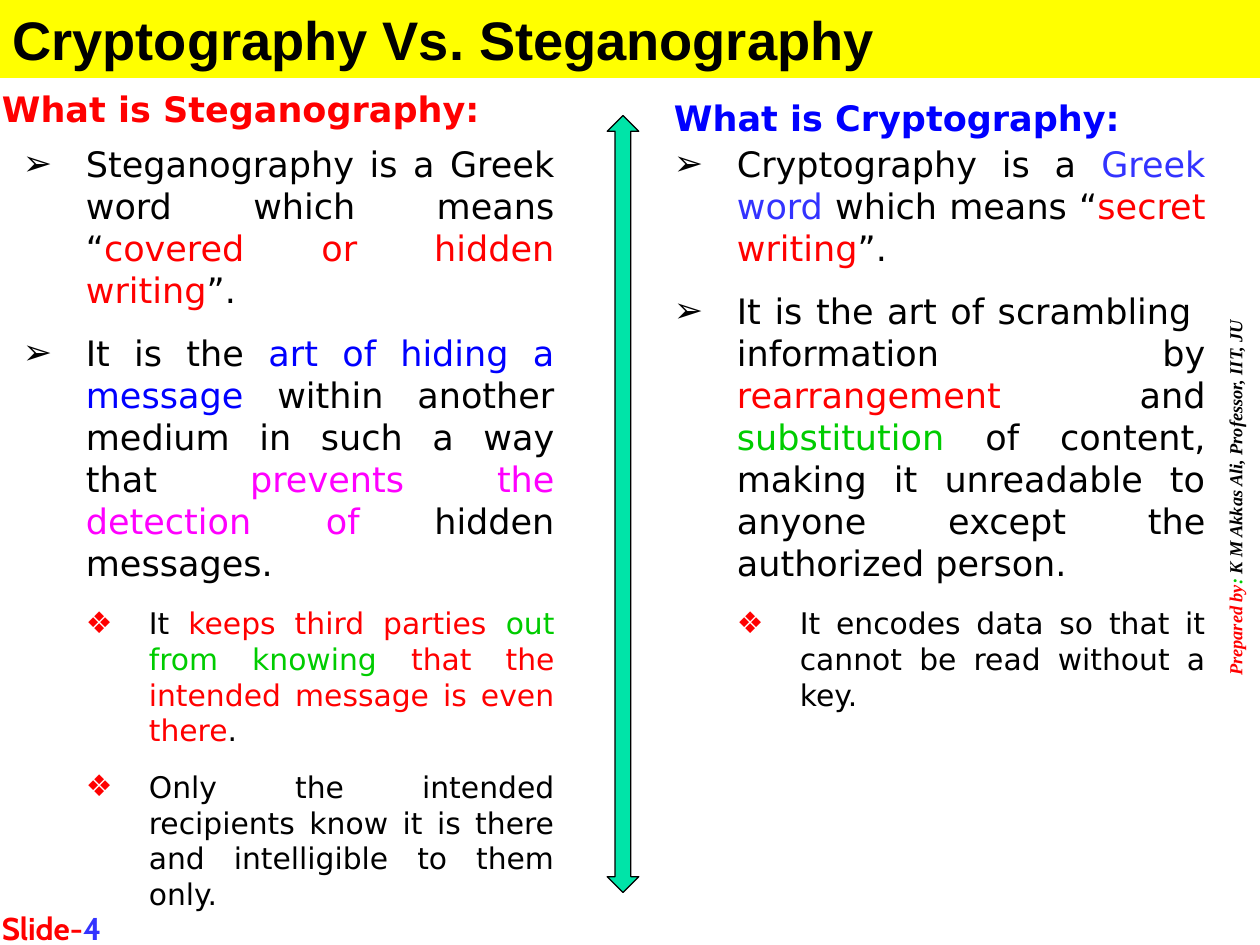
from pptx import Presentation
from pptx.dml.color import RGBColor
from pptx.enum.shapes import MSO_SHAPE as Kind
from pptx.enum.text import MSO_ANCHOR as Anchor, PP_ALIGN as Align
from pptx.util import Pt
from lxml.etree import SubElement
from pptx.oxml.ns import qn

BLACK, RED, BLUE, GREEN = "000000", "FF0000", "0000FF", "00CC00"
PINK, INDIGO = "FF00FF", "3333FF"
SANS = "DejaVu Sans"

# Each point: level, then runs of (text, colour)
STEGO = [
    (1, [("Steganography is a Greek word which means “", BLACK),
         ("covered or hidden writing", RED), ("”. ", BLACK)]),
    (1, [("It is the ", BLACK), ("art of hiding a message ", BLUE),
         ("within another medium in such a way that ", BLACK),
         ("prevents the detection of ", PINK),
         ("hidden messages. ", BLACK)]),
    (2, [("It ", BLACK), ("keeps third parties ", RED),
         ("out from knowing", GREEN),
         (" that the intended message is even there", RED),
         (".  ", BLACK)]),
    (2, [("Only the intended recipients know it is there and "
          "intelligible to them only. ", BLACK)]),
]
CRYPTO = [
    (1, [("Cryptography is a ", BLACK), ("Greek word ", INDIGO),
         ("which means “", BLACK), ("secret writing", RED),
         ("”.", BLACK)]),
    (1, [("It is the art of scrambling  information by ", BLACK),
         ("rearrangement", RED), (" and ", BLACK),
         ("substitution", GREEN),
         (" of content, making it unreadable to anyone except the "
          "authorized person.  ", BLACK)]),
    (2, [("It encodes data so that it cannot be read without a key.",
          BLACK)]),
]
# Level: text size, bullet sign, bullet colour
LEVELS = {1: (20, "➢", BLACK), 2: (17, "❖", RED)}


def color(code):
    return RGBColor.from_string(code)


def write(para, text, size=20, font=SANS, fill=BLACK, bold=False, italic=False):
    run = para.add_run()
    run.text = text
    face = run.font
    face.size, face.name = Pt(size), font
    face.bold, face.italic = bold, italic
    face.color.rgb = color(fill)


def box(slide, left, top, width, height):
    frame = slide.shapes.add_textbox(
        Pt(left), Pt(top), Pt(width), Pt(height)).text_frame
    frame.word_wrap = True
    return frame


def shape(slide, kind, left, top, width, height, fill, line=None):
    item = slide.shapes.add_shape(
        kind, Pt(left), Pt(top), Pt(width), Pt(height))
    item.shadow.inherit = False
    item.fill.solid()
    item.fill.fore_color.rgb = color(fill)
    if line:
        item.line.color.rgb = color(line)
        item.line.width = Pt(0.75)
    else:
        item.line.fill.background()
    return item


def bullet(para, level, sign, fill):
    props = para._p.get_or_add_pPr()
    props.set("marL", str(Pt(36 * level)))
    props.set("indent", str(Pt(-36)))
    tint = SubElement(props, qn("a:buClr"))
    SubElement(tint, qn("a:srgbClr"), val=fill)
    SubElement(props, qn("a:buFont"), typeface=SANS)
    SubElement(props, qn("a:buChar"), char=sign)


def points(slide, left, height, items):
    frame = box(slide, left, 78, 318, height)
    for i, (level, runs) in enumerate(items):
        para = frame.add_paragraph() if i else frame.paragraphs[0]
        para.alignment = Align.JUSTIFY
        para.space_before = para.space_after = Pt(6)
        size, sign, tint = LEVELS[level]
        bullet(para, level, sign, tint)
        for text, fill in runs:
            write(para, text, size=size, fill=fill)


def heading(slide, left, top, text, fill):
    # Wide enough to hold either heading on one line
    frame = box(slide, left, top, 300, 31.5)
    write(frame.paragraphs[0], text, fill=fill, bold=True)


def credit(slide):
    frame = box(slide, 696, 35.5, 27.5, 498)
    frame._txBody.bodyPr.set("vert", "vert270")
    para = frame.paragraphs[0]
    para.alignment = Align.CENTER
    for text, fill in (("Prepared by", RED), (": ", GREEN),
                       ("K M Akkas Ali, Professor, IIT, JU", BLACK)):
        write(para, text, size=10.5, font="Times New Roman", fill=fill,
              bold=True, italic=True)


def main():
    deck = Presentation()
    deck.slide_width, deck.slide_height = Pt(720), Pt(540)
    slide = deck.slides.add_slide(deck.slide_layouts[6])

    credit(slide)

    # Left column
    points(slide, 6, 487.5, STEGO)
    heading(slide, -6, 46.5, "What is Steganography:", RED)

    # Title band
    band = shape(slide, Kind.RECTANGLE, 0, 0, 720, 44.5, "FFFF00")
    band.text_frame.vertical_anchor = Anchor.MIDDLE
    title = band.text_frame.paragraphs[0]
    title.alignment = Align.LEFT
    write(title, "Cryptography Vs. Steganography", size=31, font="Arial",
          bold=True)

    # Slide number
    foot = box(slide, -6, 516, 150, 36).paragraphs[0]
    for text, fill in (("Slide-", RED), ("4", INDIGO)):
        write(foot, text, size=18, font="Cabin", fill=fill, bold=True)

    # Right column
    points(slide, 378, 346.5, CRYPTO)
    heading(slide, 378, 51.5, "What is Cryptography:", BLUE)

    # Divider
    shape(slide, Kind.UP_DOWN_ARROW, 347, 66, 18, 444, "00E4A8", BLACK)

    deck.save("out.pptx")


if __name__ == "__main__":
    main()
